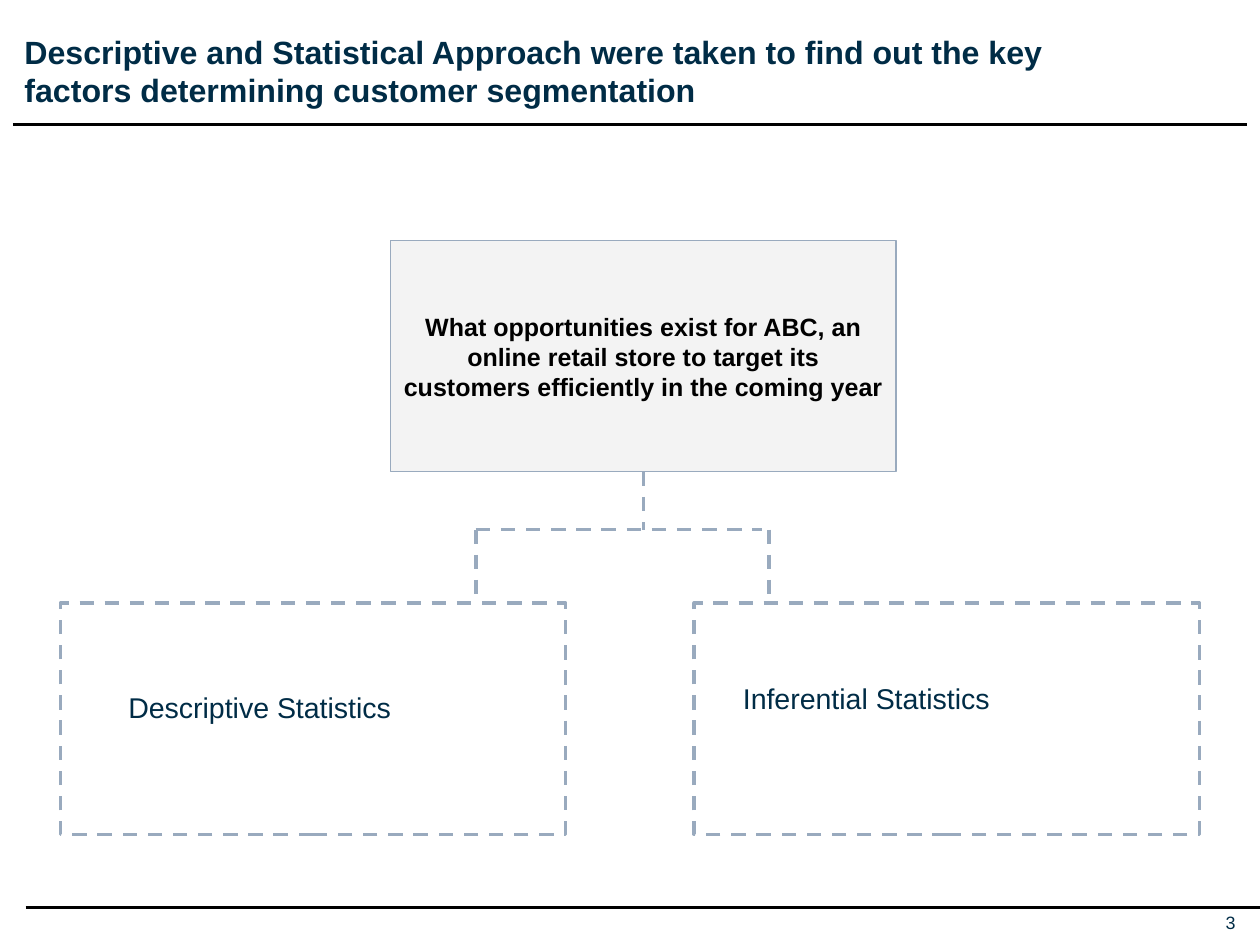
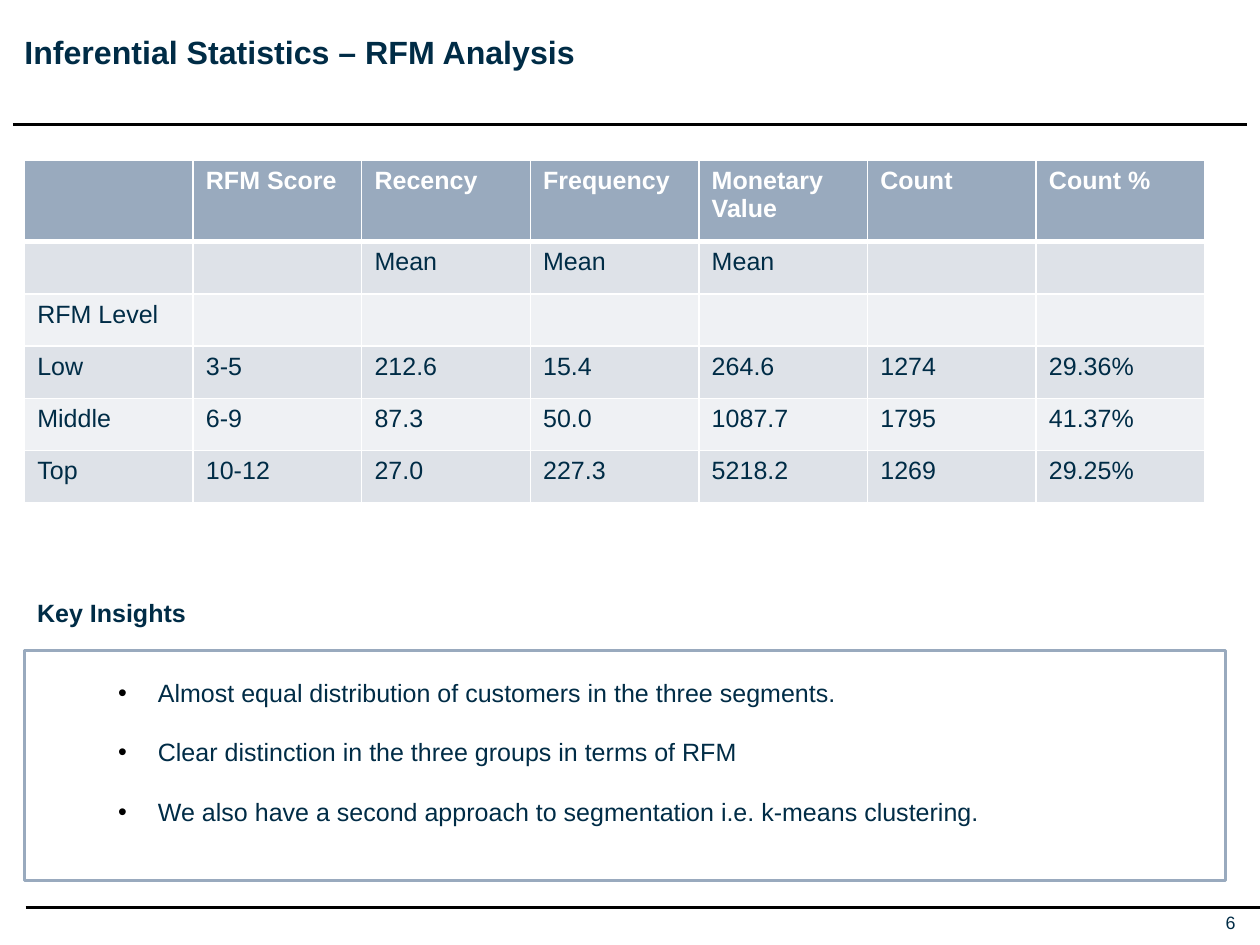
import dataclasses

import lxml.etree
import pptx
import pptx.dml.color
import pptx.enum.dml
import pptx.enum.shapes
import pptx.enum.text
import pptx.oxml.ns
import pptx.util

Inches = pptx.util.Inches
Pt = pptx.util.Pt
RGBColor = pptx.dml.color.RGBColor
qn = pptx.oxml.ns.qn
SubElement = lxml.etree.SubElement
Align = pptx.enum.text.PP_ALIGN
Anchor = pptx.enum.text.MSO_ANCHOR
DASHED = pptx.enum.dml.MSO_LINE.DASH
RECTANGLE = pptx.enum.shapes.MSO_SHAPE.RECTANGLE
NO_BREAK_SPACE = chr(160)


@dataclasses.dataclass(frozen=True)
class Theme:
    font: str = "Arial"
    navy: str = "002C46"
    steel: str = "99AABE"
    black: str = "000000"
    white: str = "FFFFFF"
    panel: str = "F2F2F2"
    bands: tuple = ("DEE2E8", "EFF1F4")
    title_size: int = 18
    label_size: int = 16
    body_size: int = 14
    number_size: int = 10


theme = Theme()


def write(frame, lines, size, color=theme.navy, bold=False, align=Align.LEFT,
          anchor=Anchor.TOP, inset=(0.1, 0.05)):
    """Fill a text frame with one paragraph per line and return the paragraphs."""
    frame.word_wrap = True
    frame.vertical_anchor = anchor
    frame.margin_left = frame.margin_right = Inches(inset[0])
    frame.margin_top = frame.margin_bottom = Inches(inset[1])
    for index, line in enumerate(lines):
        paragraph = frame.add_paragraph() if index else frame.paragraphs[0]
        paragraph.alignment = align
        run = paragraph.add_run()
        run.text = line
        run.font.name = theme.font
        run.font.size = Pt(size)
        run.font.bold = bold
        run.font.color.rgb = RGBColor.from_string(color)
    return frame.paragraphs


def add_line(slide, start, end, color=theme.black, dash=None):
    connector = slide.shapes.add_connector(
        pptx.enum.shapes.MSO_CONNECTOR.STRAIGHT,
        *[Inches(value) for value in start + end])
    connector.line.color.rgb = RGBColor.from_string(color)
    connector.line.width = Pt(2)
    connector.line.dash_style = dash
    SubElement(connector.element.spPr, qn("a:effectLst"))
    return connector


presentation = pptx.Presentation()
presentation.slide_width = Inches(9.8)
presentation.slide_height = Inches(7.35)

# Shared frame: title, two rules and the page number
pages = [
    ("Descriptive and Statistical Approach were taken to find out the key "
     f"factors{NO_BREAK_SPACE}determining customer segmentation", "3"),
    ("Inferential Statistics – RFM Analysis", "6"),
]
slides = []
for title, number in pages:
    slide = presentation.slides.add_slide(presentation.slide_layouts[6])
    slides.append(slide)
    add_line(slide, (0.1, 0.97), (9.7, 0.97))
    add_line(slide, (0.2, 7.06), (9.8, 7.06))
    title_box = slide.shapes.add_textbox(Inches(0.19), Inches(0.25), Inches(9.43), Inches(0.61))
    write(title_box.text_frame, [title], theme.title_size, bold=True, inset=(0, 0))
    number_box = slide.shapes.add_textbox(Inches(9.44), Inches(7.09), Inches(0.17), Inches(0.17))
    write(number_box.text_frame, [number], theme.number_size, align=Align.RIGHT,
          anchor=Anchor.MIDDLE, inset=(0, 0))
approach_slide, rfm_slide = slides

# Approach: one question branching into two kinds of statistics
box_width, box_height = 3.93, 1.8
question_left, question_top = 3.04, 1.87
branch_top, branch_y = 4.69, 4.12

question = approach_slide.shapes.add_shape(
    RECTANGLE, Inches(question_left), Inches(question_top), Inches(box_width), Inches(box_height))
question.shadow.inherit = False
question.fill.solid()
question.fill.fore_color.rgb = RGBColor.from_string(theme.panel)
panel_color = question.element.spPr.find(qn("a:solidFill")).find(qn("a:srgbClr"))
SubElement(panel_color, qn("a:alpha"), val="85000")
question.line.color.rgb = RGBColor.from_string(theme.steel)
question.line.width = Pt(0.75)
write(question.text_frame,
      ["What opportunities exist for ABC, an online retail store to target its "
       f"customers{NO_BREAK_SPACE}efficiently in the coming year"],
      theme.body_size, theme.black, bold=True, align=Align.CENTER,
      anchor=Anchor.MIDDLE, inset=(0, 0))

branches = [
    ("Descriptive Statistics", 0.47, 3.7, (0.9, 5.32)),
    ("Inferential Statistics", 5.4, 5.98, (5.68, 5.25)),
]
for label, left, drop_x, (label_left, label_top) in branches:
    branch = approach_slide.shapes.add_shape(
        RECTANGLE, Inches(left), Inches(branch_top), Inches(box_width), Inches(box_height))
    branch.shadow.inherit = False
    branch.fill.background()
    branch.line.color.rgb = RGBColor.from_string(theme.steel)
    branch.line.width = Pt(2)
    branch.line.dash_style = DASHED
    add_line(approach_slide, (drop_x, branch_y), (drop_x, branch_top), theme.steel, DASHED)
    label_box = approach_slide.shapes.add_textbox(
        Inches(label_left), Inches(label_top), Inches(3.37), Inches(0.37))
    write(label_box.text_frame, [label], theme.label_size)

add_line(approach_slide, (3.7, branch_y), (5.93, branch_y), theme.steel, DASHED)
trunk_x = question_left + box_width / 2
trunk = add_line(approach_slide, (trunk_x, question_top + box_height), (trunk_x, branch_y),
                 theme.steel, DASHED)
trunk.begin_connect(question, 2)

# RFM analysis: table of segments
rows = [
    ["", "RFM Score", "Recency", "Frequency", "Monetary Value", "Count", "Count %"],
    ["", "", "Mean", "Mean", "Mean", "", ""],
    ["RFM Level", "", "", "", "", "", ""],
    ["Low", "3-5", "212.6", "15.4", "264.6", "1274", "29.36%"],
    ["Middle", "6-9", "87.3", "50.0", "1087.7", "1795", "41.37%"],
    ["Top", "10-12", "27.0", "227.3", "5218.2", "1269", "29.25%"],
]
table_height, header_height = 2.66, 0.63
table = rfm_slide.shapes.add_table(
    len(rows), len(rows[0]), Inches(0.19), Inches(1.25), Inches(9.18), Inches(table_height)).table
for row_index, values in enumerate(rows):
    is_header = row_index == 0
    table.rows[row_index].height = Inches(
        header_height if is_header else (table_height - header_height) / (len(rows) - 1))
    fill = theme.steel if is_header else theme.bands[(row_index - 1) % 2]
    for column_index, value in enumerate(values):
        cell = table.cell(row_index, column_index)
        if value:
            write(cell.text_frame, [value], theme.body_size,
                  theme.white if is_header else theme.navy, bold=is_header)
        properties = cell._tc.get_or_add_tcPr()
        for side in ("lnL", "lnR", "lnT", "lnB"):
            heavy = (is_header and side == "lnB") or (row_index == 1 and side == "lnT")
            border = SubElement(properties, qn("a:" + side), w=str(Pt(3 if heavy else 1)))
            SubElement(SubElement(border, qn("a:solidFill")), qn("a:srgbClr"), val=theme.white)
        cell.fill.solid()
        cell.fill.fore_color.rgb = RGBColor.from_string(fill)

# RFM analysis: key insights
insights_frame = rfm_slide.shapes.add_shape(
    RECTANGLE, Inches(0.19), Inches(5.06), Inches(9.34), Inches(1.79))
insights_frame.shadow.inherit = False
insights_frame.fill.background()
insights_frame.line.color.rgb = RGBColor.from_string(theme.steel)
insights_frame.line.width = Pt(1.5)

heading_box = rfm_slide.shapes.add_textbox(Inches(0.19), Inches(4.6), Inches(1.67), Inches(0.34))
write(heading_box.text_frame, ["Key Insights"], theme.body_size, bold=True)

insights_box = rfm_slide.shapes.add_textbox(Inches(0.82), Inches(5.22), Inches(7.74), Inches(1.75))
insights = write(insights_box.text_frame, [
    "Almost equal distribution of customers in the three segments.",
    "Clear distinction in the three groups in terms of RFM",
    "We also have a second approach to segmentation i.e. k-means clustering.",
], theme.body_size)
for index, paragraph in enumerate(insights):
    paragraph.space_before = Pt(16.5 if index else 0)
    properties = paragraph._p.get_or_add_pPr()
    properties.set("marL", str(Inches(0.31)))
    properties.set("indent", str(Inches(-0.31)))
    SubElement(SubElement(properties, qn("a:buClr")), qn("a:srgbClr"), val=theme.black)
    SubElement(properties, qn("a:buFont"), typeface=theme.font)
    SubElement(properties, qn("a:buChar"), char="•")

presentation.save("out.pptx")
